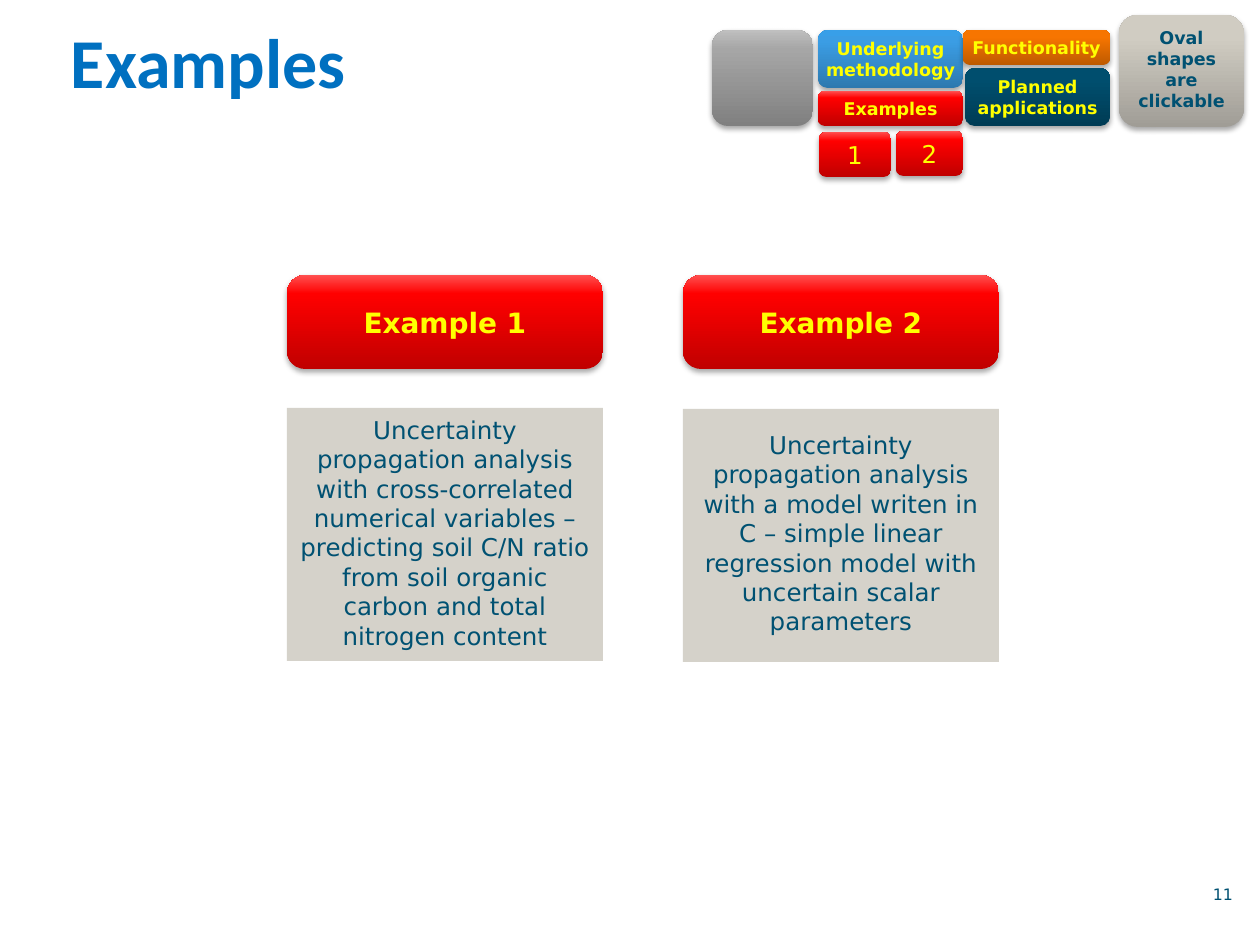
from pptx import Presentation
from pptx.dml.color import RGBColor
from pptx.enum.shapes import MSO_SHAPE
from pptx.enum.text import MSO_ANCHOR, MSO_AUTO_SIZE, PP_ALIGN
from pptx.oxml import parse_xml
from pptx.oxml.ns import nsdecls
from pptx.util import Emu, Pt

ROUNDED, RECTANGLE = MSO_SHAPE.ROUNDED_RECTANGLE, MSO_SHAPE.RECTANGLE
TOP, MIDDLE = MSO_ANCHOR.TOP, MSO_ANCHOR.MIDDLE
CENTER, RIGHT, LEFT = PP_ALIGN.CENTER, PP_ALIGN.RIGHT, PP_ALIGN.LEFT
NO_AUTOFIT = MSO_AUTO_SIZE.NONE

PX = 914400 / 126
TITLE_BLUE = RGBColor(0x00, 0x70, 0xC0)
TEAL = RGBColor(0x00, 0x51, 0x72)
YELLOW = RGBColor(0xFF, 0xFF, 0x00)
SAND = RGBColor(0xD5, 0xD2, 0xCA)

# Gradients from bottom to top, with stops at 0, 80 and 100 %
RED = [RGBColor(0xC0, 0, 0), RGBColor(0xFF, 0, 0), RGBColor(0xFF, 0x50, 0x50)]
BLUE = [RGBColor(0x2D, 0x79, 0xAF), RGBColor(0x3B, 0x9D, 0xE4), RGBColor(0x38, 0x9F, 0xE8)]
ORANGE = [RGBColor(0xBE, 0x5A, 0), RGBColor(0xF7, 0x75, 0), RGBColor(0xF8, 0x76, 0)]
NAVY = [RGBColor(0, 0x3C, 0x55), RGBColor(0, 0x4E, 0x6E), RGBColor(0, 0x4F, 0x6F)]
GRAY = [RGBColor(0x80, 0x80, 0x80), RGBColor(0xA6, 0xA6, 0xA6), RGBColor(0xBF, 0xBF, 0xBF)]
STONE = [RGBColor(0xA0, 0x9D, 0x96), RGBColor(0xD0, 0xCC, 0xC2), RGBColor(0xD1, 0xCD, 0xC3)]


def write(shape, text, size, color, insets, bold=False, align=CENTER,
          anchor=MIDDLE, font="DejaVu Sans"):
    frame = shape.text_frame
    frame.word_wrap = True
    frame.auto_size = NO_AUTOFIT
    frame.vertical_anchor = anchor
    (frame.margin_left, frame.margin_top,
     frame.margin_right, frame.margin_bottom) = [Emu(int(i * PX)) for i in insets]
    paragraph = frame.paragraphs[0]
    paragraph.text = text
    paragraph.alignment = align
    paragraph.font.name = font
    paragraph.font.size = Pt(size)
    paragraph.font.bold = bold
    paragraph.font.color.rgb = color
    return paragraph


def add_button(box, gradient, corner=0.167):
    button = slide.shapes.add_shape(ROUNDED, *[Emu(int(v * PX)) for v in box])
    button.adjustments[0] = corner
    button.line.fill.background()
    button.shadow.inherit = False
    stops = "".join(
        f'<a:gs pos="{pos}"><a:srgbClr val="{color}"/></a:gs>'
        for pos, color in zip((0, 80000, 100000), gradient))
    properties = button.element.spPr
    properties.insert(2, parse_xml(
        f'<a:gradFill {nsdecls("a")} rotWithShape="1"><a:gsLst>{stops}</a:gsLst>'
        '<a:lin ang="16200000" scaled="0"/></a:gradFill>'))
    properties[-1].append(parse_xml(
        f'<a:outerShdw {nsdecls("a")} blurRad="40000" dist="23000" dir="5400000" '
        'rotWithShape="0"><a:srgbClr val="000000"><a:alpha val="35000"/>'
        '</a:srgbClr></a:outerShdw>'))
    return button


presentation = Presentation()
presentation.slide_width = Emu(int(1260 * PX))
presentation.slide_height = Emu(int(945 * PX))
slide = presentation.slides.add_slide(presentation.slide_layouts[5])

# Title
title = slide.shapes.title
title.left, title.top, title.width, title.height = [
    Emu(int(v * PX)) for v in (68, 32, 1163, 118)]
heading = write(title, "Examples", 40, TITLE_BLUE, (3, 0, 13, 44), bold=True,
                align=LEFT, anchor=TOP, font="Calibri")
heading.line_spacing = Pt(40)

# Page number
page_number = slide.shapes.add_textbox(*[Emu(int(v * PX)) for v in (1174, 883, 64, 23)])
number_line = write(page_number, "11", 9, TEAL, (13, 0, 5, 0), align=RIGHT, anchor=TOP)
number_line.line_spacing = Pt(12)

# Navigation map: hint, home button, sections
hint = add_button((1119, 15, 125, 112), STONE)
write(hint, "Oval shapes are clickable", 10, TEAL, (13, 6, 13, 10), bold=True)

add_button((712, 30, 101, 96), GRAY)

sections = [
    ("Underlying methodology", (818, 30, 145, 58), BLUE, 0.167),
    ("Functionality", (963, 30, 147, 35), ORANGE, 0.194),
    ("Examples", (818, 91, 145, 35), RED, 0.194),
    ("Planned applications", (965, 68, 145, 58), NAVY, 0.167),
]
for name, box, gradient, corner in sections:
    write(add_button(box, gradient, corner), name, 10, YELLOW, (5, 5, 5, 5), bold=True)

# Examples: small navigation button, large button and description
examples = [
    (287, 408, (13, 6, 13, 10), (819, 132, 72, 45),
     "Uncertainty propagation analysis with cross-correlated numerical variables – "
     "predicting soil C/N ratio from soil organic carbon and total nitrogen content"),
    (683, 409, (13, 20, 13, 25), (896, 131, 67, 45),
     "Uncertainty propagation analysis with a model writen in C – simple linear "
     "regression model with uncertain scalar parameters"),
]
for number, (left, top, insets, nav_box, summary) in enumerate(examples, 1):
    write(add_button(nav_box, RED), str(number), 14, YELLOW, (10, 5, 10, 5))

    example = add_button((left, 275, 316, 94), RED, 0.194)
    write(example, f"Example {number}", 16, YELLOW, (5, 25, 5, 25), bold=True)

    description = slide.shapes.add_shape(
        RECTANGLE, *[Emu(int(v * PX)) for v in (left, top, 316, 253)])
    description.fill.solid()
    description.fill.fore_color.rgb = SAND
    description.line.fill.background()
    description.shadow.inherit = False
    write(description, summary, 14, TEAL, insets)

presentation.save("out.pptx")
